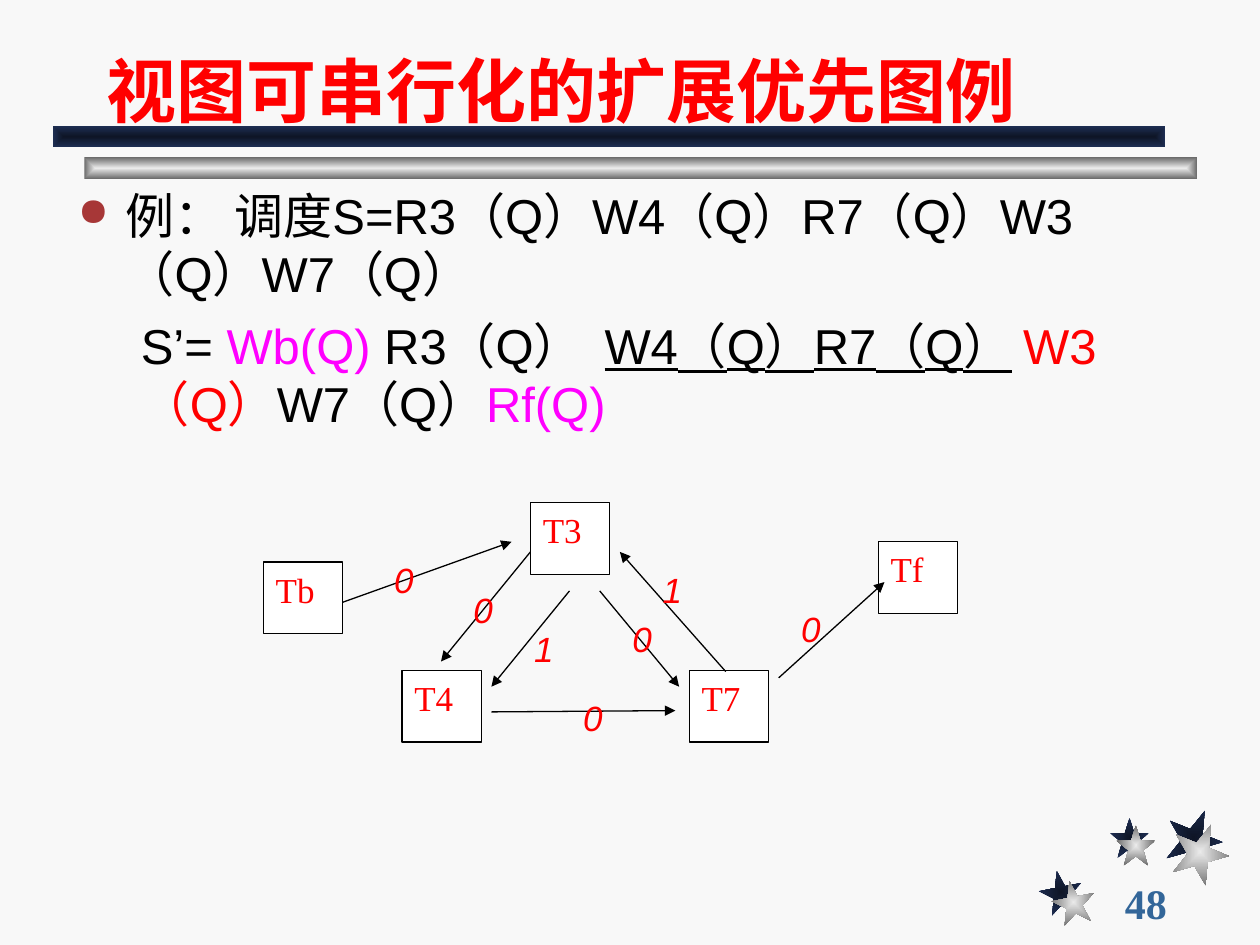
from lxml import etree
from pptx import Presentation
from pptx import util as u
from pptx.dml import color
from pptx.enum import shapes, text
from pptx.oxml import ns, parse_xml


class Theme:
    paper, white, black = "F8F8F8", "FFFFFF", "000000"
    red, pink, number, bullet = "FF0000", "FF00FF", "336699", "A73737"
    navy, silver = ("0E1526", "1E2E53"), ("EAEAEA", "6C6C6C")
    sans, serif = "Arial", "Times New Roman"
    title_size, body_size, number_size, graph_size = 40, 28, 24, 20
    line_width = 0.75


def add_span(para, words, size, font, ink, **style):
    span = para.add_run()
    span.text = words
    span.font.size = u.Pt(size)
    span.font.name = font
    span.font.color.rgb = color.RGBColor.from_string(ink)
    for name, value in style.items():
        setattr(span.font, name, value)


def add_gradient_shape(kind, frame, stops, turn=0):
    shape = page.shapes.add_shape(kind, *map(u.Inches, frame))
    shape.rotation = turn
    shape.shadow.inherit = False
    shape.line.fill.background()
    inner, outer = stops
    fill = parse_xml(
        f'<a:gradFill {ns.nsdecls("a")} rotWithShape="1"><a:gsLst>'
        f'<a:gs pos="0"><a:srgbClr val="{inner}"/></a:gs>'
        f'<a:gs pos="100000"><a:srgbClr val="{outer}"/></a:gs></a:gsLst>'
        '<a:path path="rect"><a:fillToRect l="50000" t="50000" r="50000" b="50000"/>'
        '</a:path></a:gradFill>')
    shape._element.spPr.find(ns.qn("a:prstGeom")).addnext(fill)


deck = Presentation()
deck.slide_width, deck.slide_height = u.Inches(10), u.Inches(7.5)
page = deck.slides.add_slide(deck.slide_layouts[6])
page.background.fill.solid()
page.background.fill.fore_color.rgb = color.RGBColor.from_string(Theme.paper)

star_layers = [
    (Theme.navy, [(8.25, 6.91), (8.81, 6.49), (9.25, 6.42)]),
    (Theme.silver, [(8.35, 6.99), (8.86, 6.55), (9.3, 6.53)]),
]
star_forms = [(0.34, 0.34, 349), (0.31, 0.32, 0), (0.45, 0.46, 22)]
for stops, corners in star_layers:
    for (left, top), (width, height, turn) in zip(corners, star_forms):
        add_gradient_shape(shapes.MSO_SHAPE.STAR_5_POINT,
                           (left, top, width, height), stops, turn)

for left, top, stops in [(0.67, 1.25, Theme.silver), (0.42, 1, Theme.navy)]:
    add_gradient_shape(shapes.MSO_SHAPE.RECTANGLE, (left, top, 8.83, 0.17), stops)

headings = [
    ("48", (8.83, 7, 1.08, 0.33), False, text.MSO_ANCHOR.MIDDLE,
     Theme.number_size, Theme.serif, Theme.number),
    ("视图可串行化的扩展优先图例", (0.75, 0.17, 8.5, 0.92), True, text.MSO_ANCHOR.BOTTOM,
     Theme.title_size, Theme.sans, Theme.red),
]
for words, frame, wrap, anchor, size, font, ink in headings:
    box = page.shapes.add_textbox(*map(u.Inches, frame))
    box.text_frame.word_wrap = wrap
    box.text_frame.vertical_anchor = anchor
    add_span(box.text_frame.paragraphs[0], words, size, font, ink, bold=True)

body = page.shapes.add_textbox(*map(u.Inches, (0.52, 1.42, 9.17, 2.25))).text_frame
body.word_wrap = True

example = body.paragraphs[0]
props = example._p.get_or_add_pPr()
props.set("marL", str(u.Inches(0.38)))
props.set("indent", str(u.Inches(-0.38)))
bullet_color = etree.SubElement(props, ns.qn("a:buClr"))
etree.SubElement(bullet_color, ns.qn("a:srgbClr"), val=Theme.bullet)
etree.SubElement(props, ns.qn("a:buSzPct"), val="80000")
etree.SubElement(props, ns.qn("a:buChar"), char="●")
add_span(example, "例： 调度S=R3（Q）W4（Q）R7（Q）W3（Q）W7（Q）",
         Theme.body_size, Theme.sans, Theme.black)

schedule = body.add_paragraph()
schedule.level = 1
schedule.space_before = u.Pt(7)
props = schedule._p.get_or_add_pPr()
props.set("marL", str(u.Inches(0.5)))
props.set("indent", "0")
etree.SubElement(props, ns.qn("a:buNone"))
for words, ink, underline in [
    ("S’= ", Theme.black, False),
    ("Wb(Q)", Theme.pink, False),
    (" R3（Q）  ", Theme.black, False),
    ("W4（Q）R7（Q）", Theme.black, True),
    (" ", Theme.black, False),
    ("W3（Q）", Theme.red, False),
    ("W7（Q）", Theme.black, False),
    ("Rf(Q)", Theme.pink, False),
]:
    add_span(schedule, words, Theme.body_size, Theme.sans, ink, underline=underline)

nodes = [("Tb", 2.09, 4.46), ("Tf", 6.97, 4.3), ("T4", 3.19, 5.32),
         ("T3", 4.21, 3.99), ("T7", 5.47, 5.32)]
for name, left, top in nodes:
    node = page.shapes.add_shape(shapes.MSO_SHAPE.RECTANGLE,
                                 *map(u.Inches, (left, top, 0.63, 0.57)))
    node.shadow.inherit = False
    node.fill.solid()
    node.fill.fore_color.rgb = color.RGBColor.from_string(Theme.white)
    node.line.color.rgb = color.RGBColor.from_string(Theme.black)
    node.line.width = u.Pt(Theme.line_width)
    node.text_frame.vertical_anchor = text.MSO_ANCHOR.TOP
    para = node.text_frame.paragraphs[0]
    para.alignment = text.PP_ALIGN.JUSTIFY
    add_span(para, name, Theme.graph_size, Theme.serif, Theme.red)

edges = [
    (4.76, 4.69, 5.39, 5.45),
    (3.9, 5.65, 5.36, 5.64),
    (6.18, 5.38, 7.02, 4.62),
    (4.21, 4.38, 3.5, 5.25),
    (4.52, 4.69, 3.9, 5.45),
    (5.76, 5.33, 4.92, 4.38),
    (2.72, 4.78, 4.06, 4.3),
]
for ends in edges:
    edge = page.shapes.add_connector(shapes.MSO_CONNECTOR.STRAIGHT, *map(u.Inches, ends))
    edge.line.color.rgb = color.RGBColor.from_string(Theme.black)
    edge.line.width = u.Pt(Theme.line_width)
    etree.SubElement(edge.line._get_or_add_ln(), ns.qn("a:tailEnd"), type="triangle")
    etree.SubElement(edge._element.spPr, ns.qn("a:effectLst"))

weights = [("0", 3.03, 4.38), ("0", 6.26, 4.77), ("0", 3.66, 4.62), ("0", 4.53, 5.48),
           ("0", 4.92, 4.85), ("1", 5.16, 4.46), ("1", 4.14, 4.93)]
for weight, left, top in weights:
    width = 0.26 if left == 3.66 else 0.35
    box = page.shapes.add_textbox(*map(u.Inches, (left, top, width, 0.44)))
    box.text_frame.word_wrap = width == 0.26
    box.text_frame.auto_size = text.MSO_AUTO_SIZE.SHAPE_TO_FIT_TEXT
    para = box.text_frame.paragraphs[0]
    para.alignment = text.PP_ALIGN.CENTER
    add_span(para, weight, Theme.graph_size, Theme.sans, Theme.red, italic=True)

deck.save("out.pptx")
